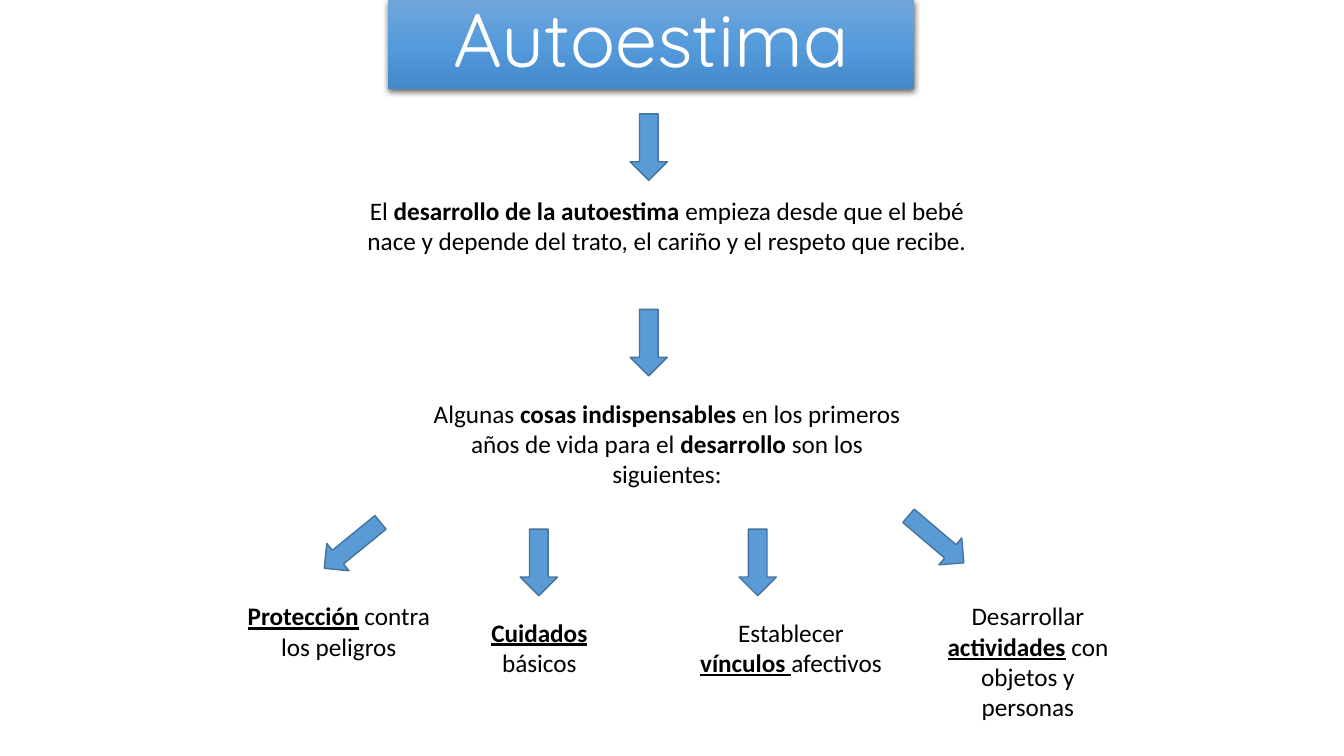
from typing import NamedTuple

from pptx import Presentation
from pptx.dml.color import RGBColor
from pptx.enum.shapes import MSO_SHAPE as Preset
from pptx.enum.text import MSO_ANCHOR as Anchor, PP_ALIGN as Align
from pptx.oxml import parse_xml
from pptx.oxml.ns import nsdecls, qn
from pptx.util import Inches, Pt

COLORS = {
    "arrow": "5B9BD5",
    "arrow_edge": "43739E",
    "title_top": "71A6DB",
    "title_middle": "559BDB",
    "title_bottom": "448ACA",
    "title_text": "FFFFFF",
    "text": "000000",
    "shadow": "000000",
}


class Run(NamedTuple):
    text: str
    bold: bool = False
    underline: bool = False


class Idea(NamedTuple):
    left: float
    top: float
    width: float
    height: float
    runs: list[Run]


class Arrow(NamedTuple):
    left: float
    top: float
    width: float = 0.37
    height: float = 0.66
    rotation: float = 0


def rgb(name: str) -> RGBColor:
    return RGBColor.from_string(COLORS[name])


def write(shape, runs: list[Run], *, size: float = 18, font: str = "Calibri",
          color: str = "text", anchor=Anchor.TOP, spacing: float = 1.0) -> None:
    frame = shape.text_frame
    frame.word_wrap = True
    frame.vertical_anchor = anchor
    paragraph = frame.paragraphs[0]
    paragraph.alignment = Align.CENTER
    paragraph.line_spacing = spacing
    for part in runs:
        run = paragraph.add_run()
        run.text = part.text
        run.font.name = font
        run.font.size = Pt(size)
        run.font.bold = part.bold
        run.font.underline = part.underline
        run.font.color.rgb = rgb(color)


def draw_title(slide, text: str) -> None:
    banner = slide.shapes.add_shape(
        Preset.RECTANGLE, Inches(3.85), 0, Inches(5.22), Inches(0.88))
    banner.line.fill.background()
    # Three-stop vertical gradient
    banner.fill.gradient()
    banner.fill.gradient_angle = 270
    stops = "".join(
        f'<a:gs pos="{position}"><a:srgbClr val="{COLORS[name]}"/></a:gs>'
        for position, name in ((0, "title_top"), (50000, "title_middle"),
                               (100000, "title_bottom")))
    properties = banner._element.spPr
    old_stops = properties.find(".//" + qn("a:gsLst"))
    old_stops.getparent().replace(
        old_stops, parse_xml(f'<a:gsLst {nsdecls("a")}>{stops}</a:gsLst>'))
    # Soft shadow below
    banner.shadow.inherit = False
    properties.find(qn("a:effectLst")).append(parse_xml(
        f'<a:outerShdw {nsdecls("a")} blurRad="{Pt(4.5)}" dist="{Pt(1.5)}" '
        f'dir="5400000" algn="ctr" rotWithShape="0">'
        f'<a:srgbClr val="{COLORS["shadow"]}"><a:alpha val="63000"/></a:srgbClr>'
        f'</a:outerShdw>'))
    write(banner, [Run(text)], size=54, font="Quicksand", color="title_text",
          anchor=Anchor.BOTTOM, spacing=0.9)


def draw_arrow(slide, arrow: Arrow) -> None:
    shape = slide.shapes.add_shape(
        Preset.DOWN_ARROW, Inches(arrow.left), Inches(arrow.top),
        Inches(arrow.width), Inches(arrow.height))
    shape.rotation = arrow.rotation
    shape.shadow.inherit = False
    shape.fill.solid()
    shape.fill.fore_color.rgb = rgb("arrow")
    shape.line.color.rgb = rgb("arrow_edge")
    shape.line.width = Pt(1)


def draw_idea(slide, idea: Idea) -> None:
    box = slide.shapes.add_textbox(
        Inches(idea.left), Inches(idea.top), Inches(idea.width), Inches(idea.height))
    write(box, idea.runs)


ARROWS = [
    # Down the centre
    Arrow(6.25, 1.13),
    Arrow(6.25, 3.07),
    # Out to the four needs
    Arrow(3.32, 5.05, 0.35, 0.72, 50.8),
    Arrow(5.16, 5.25),
    Arrow(7.33, 5.25),
    Arrow(9.11, 4.99, 0.35, 0.72, 310.4),
]

IDEAS = [
    # Statements
    Idea(3.42, 1.89, 6.39, 1.01, [
        Run("El "), Run("desarrollo de la autoestima ", bold=True),
        Run("empieza desde que el bebé nace y depende del trato, "
            "el cariño y el respeto que recibe.")]),
    Idea(4.04, 3.9, 5.15, 1.01, [
        Run("Algunas "), Run("cosas indispensables ", bold=True),
        Run("en los primeros años de vida para el "),
        Run("desarrollo", bold=True), Run(" son los siguientes:")]),
    # Needs
    Idea(2.22, 5.91, 2.28, 1.01, [
        Run("Protección", bold=True, underline=True), Run(" contra los peligros")]),
    Idea(4.58, 6.07, 1.54, 0.71, [
        Run("Cuidados", bold=True, underline=True), Run(" básicos")]),
    Idea(6.79, 6.07, 2.11, 1.01, [
        Run("Establecer "), Run("vínculos ", bold=True, underline=True),
        Run("afectivos")]),
    Idea(9.2, 5.91, 1.99, 1.62, [
        Run("Desarrollar "), Run("actividades", bold=True, underline=True),
        Run(" con objetos y personas")]),
]

deck = Presentation()
deck.slide_width = Inches(13.33)
deck.slide_height = Inches(7.5)
concept_map = deck.slides.add_slide(deck.slide_layouts[6])

draw_title(concept_map, "Autoestima")
for step in ARROWS:
    draw_arrow(concept_map, step)
for statement in IDEAS:
    draw_idea(concept_map, statement)

deck.save("out.pptx")
